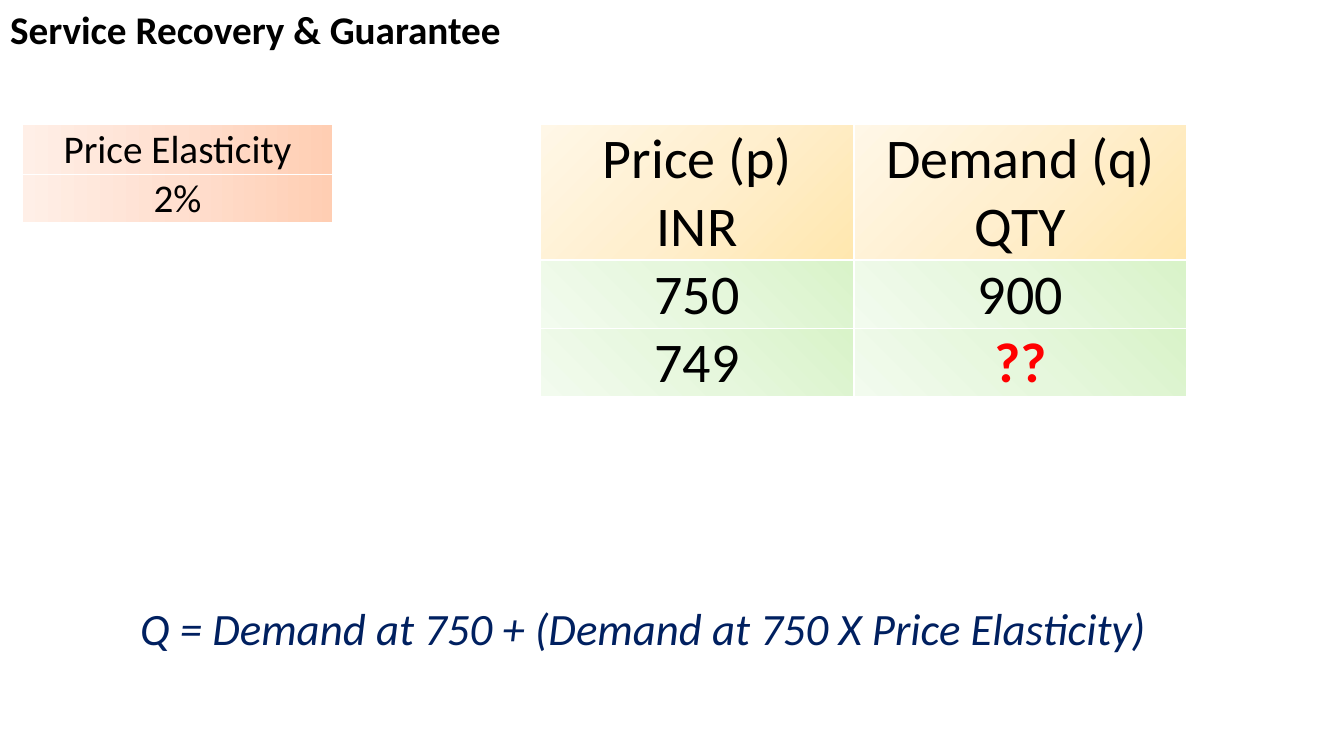
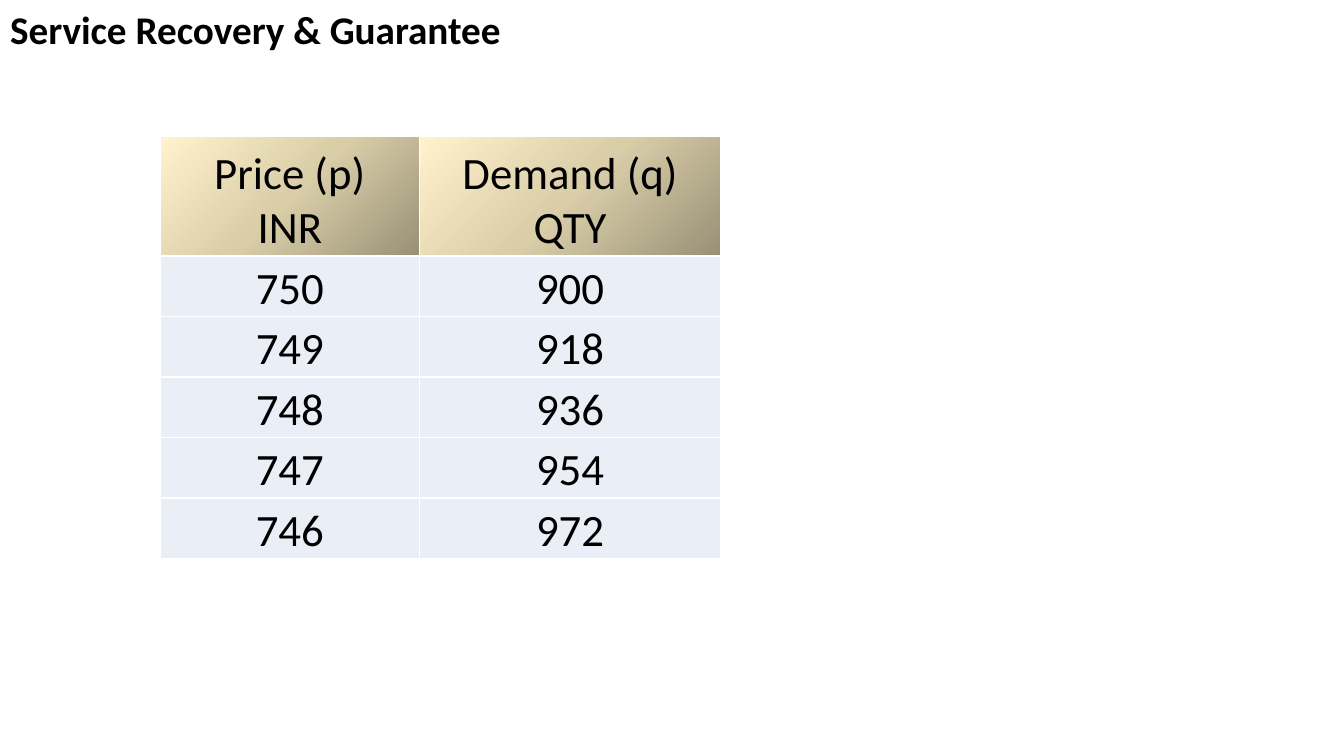
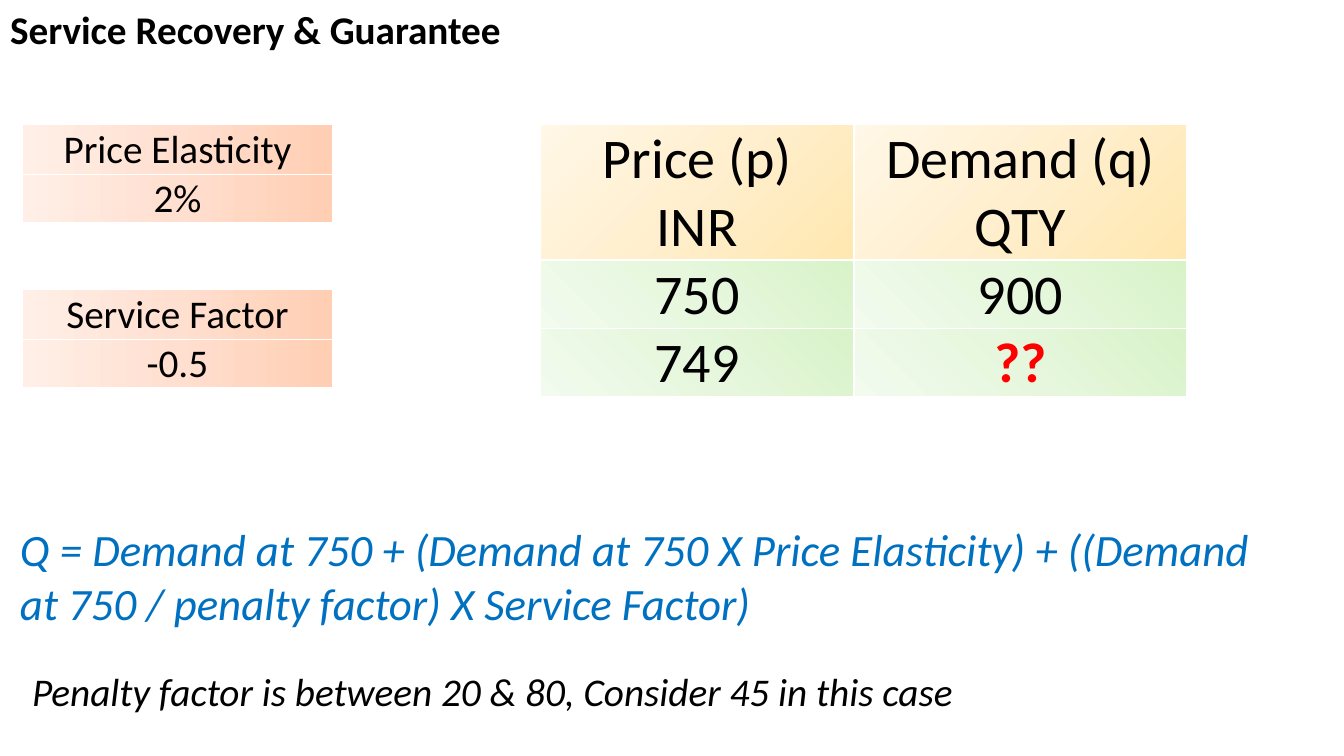
from pptx import Presentation
from pptx.dml.color import RGBColor
from pptx.enum import text
from pptx.oxml import parse_xml
from pptx.oxml.ns import nsdecls
from pptx.util import Inches, Pt

FONT = "Calibri"
BLACK = RGBColor(0x00, 0x00, 0x00)
WHITE = RGBColor(0xFF, 0xFF, 0xFF)
RED = RGBColor(0xFF, 0x00, 0x00)
NAVY = RGBColor(0x00, 0x20, 0x60)
BLUE = RGBColor(0x00, 0x70, 0xC0)
PALE_BLUE = RGBColor(0xEA, 0xEF, 0xF7)
PEACH = [RGBColor(0xFF, 0xCE, 0xB3), RGBColor(0xFF, 0xDF, 0xCF), RGBColor(0xFF, 0xEF, 0xE7)]
GOLD = [RGBColor(0xFF, 0xE7, 0xAF), RGBColor(0xFF, 0xEF, 0xCE), RGBColor(0xFF, 0xF7, 0xE7)]
GREEN = [RGBColor(0xD9, 0xF3, 0xC9), RGBColor(0xE6, 0xF7, 0xDD), RGBColor(0xF2, 0xFB, 0xEE)]
BRONZE = [RGBColor(0x99, 0x91, 0x77), RGBColor(0xDA, 0xCE, 0xA9), RGBColor(0xFF, 0xF2, 0xCC)]

# Gradient directions: leftward, or radiating from a corner
LEFTWARD = '<a:lin ang="10800000" scaled="1"/>'
CORNER = '<a:path path="circle"><a:fillToRect l="100000" {}="100000"/></a:path>'
FROM_BOTTOM_RIGHT = CORNER.format("t")
FROM_TOP_RIGHT = CORNER.format("b")

# Fills: one colour, or three colours with a direction
PEACH_FILL = (PEACH, LEFTWARD)
GOLD_FILL = (GOLD, FROM_BOTTOM_RIGHT)
GREEN_FILL = (GREEN, FROM_TOP_RIGHT)
BRONZE_FILL = (BRONZE, FROM_BOTTOM_RIGHT)

HEADINGS = ["Price (p)\nINR", "Demand (q)\nQTY"]


def add_grid(page, left, top, widths, heights, rows, size, head_fill, body_fill):
    frame = page.shapes.add_table(len(rows), len(widths), Inches(left), Inches(top),
                                  Inches(sum(widths)), Inches(sum(heights)))
    table = frame.table
    table.first_row = table.horz_banding = False
    for column, width in zip(table.columns, widths):
        column.width = Inches(width)
    for r, (row, height) in enumerate(zip(rows, heights)):
        table.rows[r].height = Inches(height)
        fill = body_fill if r else head_fill
        for c, words in enumerate(row):
            cell = table.cell(r, c)
            cell.margin_left = cell.margin_right = cell.margin_top = Inches(0.01)
            cell.margin_bottom = 0
            one_column_head = r == 0 and len(widths) == 1
            cell.vertical_anchor = (text.MSO_ANCHOR.MIDDLE if one_column_head
                                    else text.MSO_ANCHOR.BOTTOM)
            para = cell.text_frame.paragraphs[0]
            para.text = words
            para.alignment = text.PP_ALIGN.CENTER
            para.font.name, para.font.size = FONT, Pt(size)
            unknown = words == "??"
            para.font.bold = unknown
            para.font.color.rgb = RED if unknown else BLACK

            # Cell borders come before the fill
            properties = cell._tc.get_or_add_tcPr()
            for side in "LRTB":
                properties.append(parse_xml(
                    f'<a:ln{side} {nsdecls("a")} w="12700"><a:solidFill>'
                    f'<a:srgbClr val="{WHITE}"/></a:solidFill></a:ln{side}>'))
            if isinstance(fill, RGBColor):
                cell.fill.solid()
                cell.fill.fore_color.rgb = fill
            else:
                colours, direction = fill
                stops = "".join(f'<a:gs pos="{i * 50000}"><a:srgbClr val="{colour}"/></a:gs>'
                                for i, colour in enumerate(colours))
                properties.append(parse_xml(
                    f'<a:gradFill {nsdecls("a")} rotWithShape="1">'
                    f'<a:gsLst>{stops}</a:gsLst>{direction}</a:gradFill>'))


def place_text(box, words, left, top, width, height, size, colour, bold=False, italic=False):
    box.left, box.top = Inches(left), Inches(top)
    box.width, box.height = Inches(width), Inches(height)
    frame = box.text_frame
    frame.word_wrap = True
    frame.auto_size = text.MSO_AUTO_SIZE.SHAPE_TO_FIT_TEXT
    frame.vertical_anchor = text.MSO_ANCHOR.TOP
    para = frame.paragraphs[0]
    para.text = words
    para.alignment = text.PP_ALIGN.LEFT
    para.font.name, para.font.size = FONT, Pt(size)
    para.font.bold, para.font.italic = bold, italic
    para.font.color.rgb = colour


deck = Presentation()
deck.slide_width, deck.slide_height = Inches(13.33), Inches(7.5)

# Title shared by all slides
pages = [deck.slides.add_slide(deck.slide_layouts[5]) for _ in range(3)]
for page in pages:
    place_text(page.shapes.title, "Service Recovery & Guarantee",
               0, 0, 5.54, 0.57, 28, BLACK, bold=True)
question, answers, service = pages

# Elasticity and open demand question, on the first and last slides
for page in (question, service):
    add_grid(page, 0.22, 1.23, [3.08], [0.5, 0.47], [["Price Elasticity"], ["2%"]],
             28, PEACH_FILL, PEACH_FILL)
    add_grid(page, 5.36, 1.23, [3.11, 3.3], [1.35, 0.67, 0.67],
             [HEADINGS, ["750", "900"], ["749", "??"]], 40, GOLD_FILL, GREEN_FILL)

# Slide 1: formula
formula = question.shapes.add_textbox(0, 0, 0, 0)
place_text(formula, "Q = Demand at 750 + (Demand at 750 X Price Elasticity)",
           1.29, 5.91, 10.35, 0.64, 32, NAVY, italic=True)

# Slide 2: demand rises by 18 for each rupee off the price
demand_rows = [[str(750 - step), str(900 + 18 * step)] for step in range(5)]
add_grid(answers, 1.59, 1.35, [2.57, 2.99], [1.19] + [0.6] * 5,
         [HEADINGS] + demand_rows, 32, BRONZE_FILL, PALE_BLUE)

# Slide 3: service factor, formula and penalty note
add_grid(service, 0.22, 2.87, [3.08], [0.5, 0.47], [["Service Factor"], ["-0.5"]],
         28, PEACH_FILL, PEACH_FILL)
service_formula = service.shapes.add_textbox(0, 0, 0, 0)
place_text(service_formula,
           "Q = Demand at 750 + (Demand at 750 X Price Elasticity) + "
           "((Demand at 750 / penalty factor) X Service Factor)",
           0.1, 5.13, 12.77, 1.18, 32, BLUE, italic=True)
penalty_note = service.shapes.add_textbox(0, 0, 0, 0)
place_text(penalty_note, "Penalty factor is between 20 & 80, Consider 45 in this case",
           0.22, 6.57, 10.27, 0.57, 28, BLACK, italic=True)

deck.save("out.pptx")
